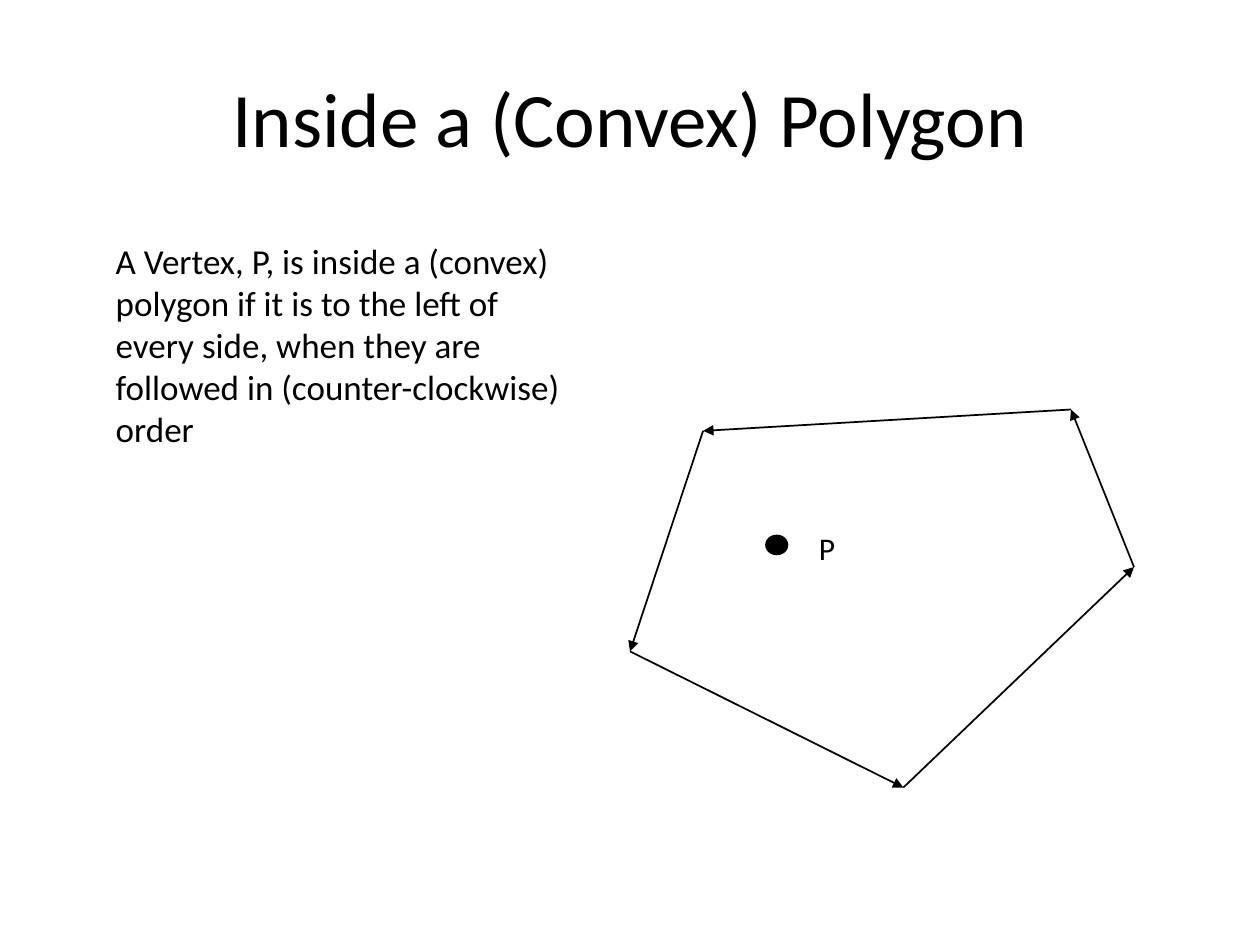
import lxml.etree
import pptx
import pptx.dml.color
import pptx.enum.shapes
import pptx.enum.text
import pptx.oxml.ns
import pptx.util

Inches = pptx.util.Inches
BLACK = "000000"
FONT = "Calibri"


def color(value):
    """Return the colour for a hex string."""
    return pptx.dml.color.RGBColor.from_string(value)


def add_text(shapes, box, text, size, align="LEFT", anchor="TOP", wrap=True, grow=True):
    """Place a text box in the given box of inches."""
    text_frame = shapes.add_textbox(*map(Inches, box)).text_frame
    text_frame.text = text
    text_frame.word_wrap = wrap
    if grow:
        text_frame.auto_size = pptx.enum.text.MSO_AUTO_SIZE.SHAPE_TO_FIT_TEXT
    text_frame.vertical_anchor = getattr(pptx.enum.text.MSO_ANCHOR, anchor)
    paragraph = text_frame.paragraphs[0]
    paragraph.alignment = getattr(pptx.enum.text.PP_ALIGN, align)
    font = paragraph.runs[0].font
    font.name = FONT
    font.size = pptx.util.Pt(size)
    font.color.rgb = color(BLACK)


def add_arrow(shapes, start, end):
    """Draw a side with an arrowhead at its end."""
    arrow = shapes.add_connector(
        pptx.enum.shapes.MSO_CONNECTOR.STRAIGHT, *map(Inches, (*start, *end))
    )
    arrow.line.color.rgb = color(BLACK)
    arrow.line.width = pptx.util.Pt(1)
    qn = pptx.oxml.ns.qn
    line = arrow.line._get_or_add_ln()
    lxml.etree.SubElement(line, qn("a:tailEnd"), type="triangle")
    lxml.etree.SubElement(arrow._element.spPr, qn("a:effectLst"))


def add_polygon(slide, box):
    """Draw the counter-clockwise sides of the polygon in its box."""
    left, top, width, height = box
    corners = [(2.17, height), (width, 1.25), (3.5, 0), (0.58, 0.17), (0, 1.92)]
    vertices = [(left + x, top + y) for x, y in corners]
    group = slide.shapes.add_group_shape()
    for start, end in zip(vertices, vertices[1:] + vertices[:1]):
        add_arrow(group.shapes, start, end)


def add_point(slide, box):
    """Draw the point P and its label from the dot's box."""
    left, top, width, height = box
    dot = slide.shapes.add_shape(
        pptx.enum.shapes.MSO_SHAPE.OVAL, *map(Inches, box)
    )
    dot.shadow.inherit = False
    dot.fill.solid()
    dot.fill.fore_color.rgb = color(BLACK)
    dot.line.color.rgb = color(BLACK)
    dot.line.width = pptx.util.Pt(1)
    label_box = (left + 0.32, top - 0.1, 0.35, 0.37)
    add_text(slide.shapes, label_box, "P", 18, wrap=False)


def main():
    """Build and save the slide."""
    presentation = pptx.Presentation()
    presentation.slide_width = Inches(10)
    presentation.slide_height = Inches(7.5)
    slide = presentation.slides.add_slide(presentation.slide_layouts[6])
    add_text(slide.shapes, (0.5, 0.3, 9, 1.25), "Inside a (Convex) Polygon", 44,
             align="CENTER", anchor="MIDDLE", grow=False)
    add_polygon(slide, (5, 3.25, 4, 3))
    add_text(
        slide.shapes, (0.82, 1.85, 3.77, 1.77),
        "A Vertex, P, is inside a (convex) polygon if it is to the left of "
        "every side, when they are followed in (counter-clockwise) order", 20,
    )
    add_point(slide, (6.08, 4.25, 0.17, 0.15))
    presentation.save("out.pptx")


if __name__ == "__main__":
    main()
